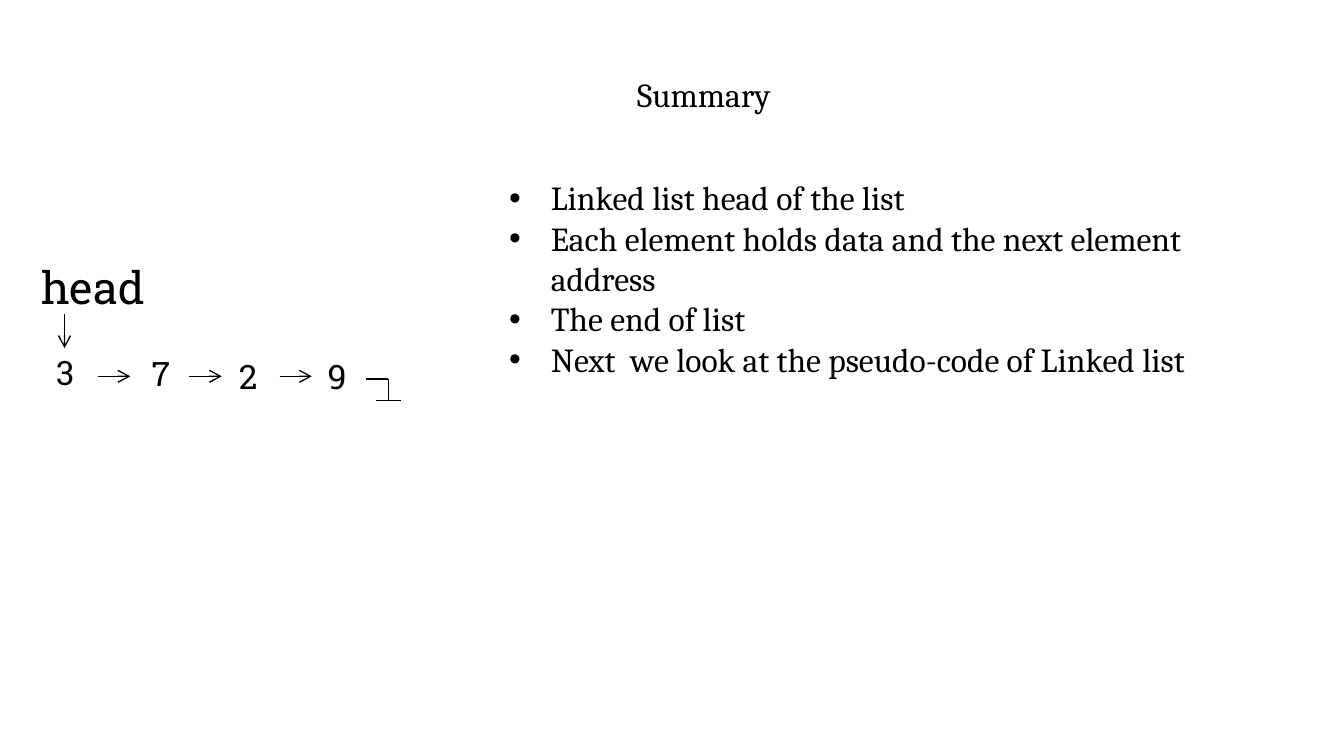
from dataclasses import dataclass

from lxml import etree
from pptx import Presentation
from pptx.dml.color import RGBColor
from pptx.enum import shapes, text
from pptx.oxml.ns import qn
from pptx.util import Emu, Pt

PX = 9144  # EMU per px, 100 px to the inch


@dataclass(frozen=True)
class Theme:
    ink: RGBColor = RGBColor(0, 0, 0)
    paper: RGBColor = RGBColor(255, 255, 255)
    body_font: str = "Cambria"
    diagram_font: str = "Roboto Slab"
    body_size: int = 18
    head_size: int = 24
    line_width: float = 0.75


THEME = Theme()
BULLETS = [
    "Linked list head of the list",
    "Each element holds data and the next element address",
    "The end of list",
    "Next  we look at the pseudo-code of Linked list",
]
NODES = [("3", 32, 257), ("7", 103, 258), ("2", 168, 260), ("9", 234, 260)]


def px(n):
    return Emu(n * PX)


def add_bullet(p, indent):
    pPr = p._p.get_or_add_pPr()
    pPr.set("marL", str(px(indent)))
    pPr.set("indent", str(-px(indent)))
    etree.SubElement(pPr, qn("a:buFont")).set("typeface", "Arial")
    etree.SubElement(pPr, qn("a:buChar")).set("char", "•")


def write(sp, box, lines, font=THEME.body_font, size=THEME.body_size, indent=0):
    """Place a text shape and fill it, one paragraph per line."""
    sp.left, sp.top, sp.width, sp.height = map(px, box)
    tf = sp.text_frame
    tf.word_wrap = True
    tf.auto_size = text.MSO_AUTO_SIZE.NONE
    tf.vertical_anchor = text.MSO_ANCHOR.TOP
    for i, line in enumerate(lines):
        p = tf.paragraphs[0] if i == 0 else tf.add_paragraph()
        p.alignment = text.PP_ALIGN.LEFT
        if indent:
            add_bullet(p, indent)
        r = p.add_run()
        r.text = line
        r.font.name, r.font.size = font, Pt(size)
        r.font.color.rgb = THEME.ink


def add_text(slide, box, lines, **fmt):
    write(slide.shapes.add_textbox(0, 0, 0, 0), box, lines, **fmt)


def add_line(parent, x1, y1, x2, y2, arrow=False):
    c = parent.add_connector(shapes.MSO_CONNECTOR.STRAIGHT, *map(px, (x1, y1, x2, y2)))
    c.line.color.rgb = THEME.ink
    c.line.width = Pt(THEME.line_width)
    if arrow:
        etree.SubElement(c.line._get_or_add_ln(), qn("a:tailEnd")).set("type", "arrow")
    etree.SubElement(c._element.spPr, qn("a:effectLst"))


def add_linked_list(slide):
    # Arrows between nodes, and from the head down to the first node
    for i in range(len(NODES) - 1):
        x = 73 + round(i * 67.5)
        add_line(slide.shapes, x, 280, x + 24, 280, arrow=True)
    add_line(slide.shapes, 48, 234, 48, 259, arrow=True)

    # Labels
    font = THEME.diagram_font
    add_text(slide, (21, 188, 410, 48), ["head"], font=font, size=THEME.head_size)
    for value, x, y in NODES:
        add_text(slide, (x, y, 33, 48), [value], font=font)

    # End-of-list mark
    mark = slide.shapes.add_group_shape().shapes
    add_line(mark, 272, 282, 289, 282)
    add_line(mark, 280, 298, 298, 298)
    add_line(mark, 289, 282, 289, 298)


def main():
    prs = Presentation()
    prs.slide_width = px(1000)
    prs.slide_height = prs.slide_width * 9 // 16
    slide = prs.slides.add_slide(prs.slide_layouts[5])
    slide.background.fill.solid()
    slide.background.fill.fore_color.rgb = THEME.paper

    write(slide.shapes.title, (464, 50, 125, 40), ["Summary"])
    add_linked_list(slide)
    add_text(slide, (369, 127, 596, 131), BULLETS, indent=31)
    prs.save("out.pptx")


if __name__ == "__main__":
    main()
